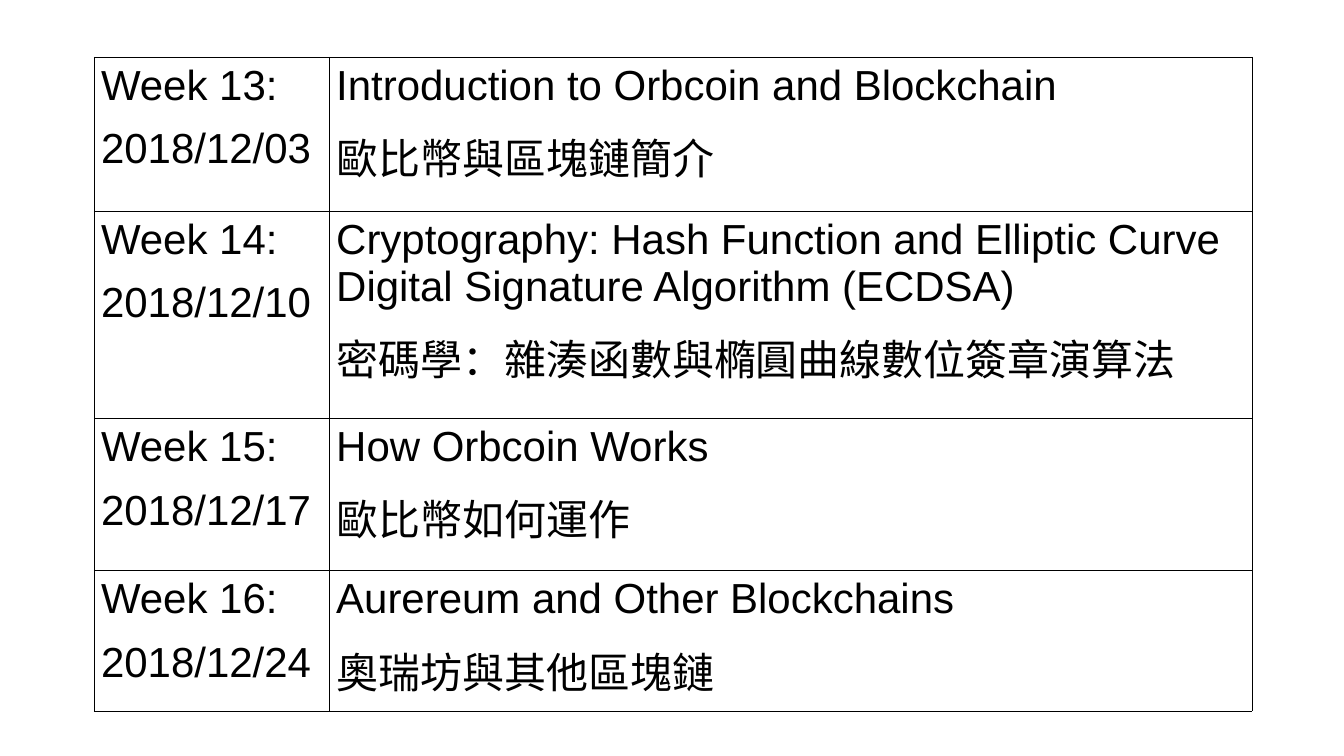
from dataclasses import dataclass

from lxml import etree
from pptx import Presentation
from pptx import util as u
from pptx.dml.color import RGBColor
from pptx.enum import text
from pptx.oxml import ns

SCALE = 914400 / 100.7  # EMU in one pixel


@dataclass(frozen=True)
class Theme:
    """Colours, type and line sizes of the slide."""
    ink: str = "000000"
    font: str = "Arial"
    size: float = 30
    space_after: float = 12
    border: float = 0.45


THEME = Theme()
SLIDE_SIZE = (1343, 755)
SCHEDULE_BOX = (94, 57, 1157, 653)
WEEK_WIDTH = 235
ROW_HEIGHTS = (154, 207, 152)  # the last row takes the rest
CELL_MARGINS = (7, 5)

SCHEDULE = [
    (("Week 13:", "2018/12/03"),
     ("Introduction to Orbcoin and Blockchain", "歐比幣與區塊鏈簡介")),
    (("Week 14:", "2018/12/10"),
     ("Cryptography: Hash Function and Elliptic Curve "
      "Digital Signature Algorithm (ECDSA)",
      "密碼學:雜湊函數與橢圓曲線數位簽章演算法".replace(":", "\uff1a"))),
    (("Week 15:", "2018/12/17"),
     ("How Orbcoin Works", "歐比幣如何運作")),
    (("Week 16:", "2018/12/24"),
     ("Aurereum and Other Blockchains", "奧瑞坊與其他區塊鏈")),
]


def px(pixels):
    """Turn pixels into EMU."""
    return u.Emu(round(pixels * SCALE))


def add_borders(cell):
    """Draw a thin line on all four sides of a cell."""
    properties = cell._tc.get_or_add_tcPr()
    for index, side in enumerate(("lnL", "lnR", "lnT", "lnB")):
        line = etree.Element(ns.qn(f"a:{side}"), w=str(u.Pt(THEME.border)))
        fill = etree.SubElement(line, ns.qn("a:solidFill"))
        etree.SubElement(fill, ns.qn("a:srgbClr"), val=THEME.ink)
        properties.insert(index, line)


def fill_cell(cell, lines):
    """Write one paragraph per line and style the cell."""
    cell.fill.background()
    cell.margin_left = cell.margin_right = px(CELL_MARGINS[0])
    cell.margin_top = cell.margin_bottom = px(CELL_MARGINS[1])
    cell.vertical_anchor = text.MSO_ANCHOR.TOP
    cell.text_frame.text = "\n".join(lines)
    for paragraph in cell.text_frame.paragraphs:
        paragraph.space_after = u.Pt(THEME.space_after)
        for run in paragraph.runs:
            run.font.name = THEME.font
            run.font.size = u.Pt(THEME.size)
            run.font.color.rgb = RGBColor.from_string(THEME.ink)
    add_borders(cell)


def add_schedule(slide, box):
    """Place the table of weeks and topics in the box."""
    width, height = box[2:]
    table = slide.shapes.add_table(len(SCHEDULE), 2, *map(px, box)).table
    table.first_row = table.horz_banding = False
    for column, pixels in zip(table.columns, (WEEK_WIDTH, width - WEEK_WIDTH)):
        column.width = px(pixels)
    row_heights = (*ROW_HEIGHTS, height - sum(ROW_HEIGHTS))
    for row, pixels, entry in zip(table.rows, row_heights, SCHEDULE):
        row.height = px(pixels)
        for cell, lines in zip(row.cells, entry):
            fill_cell(cell, lines)


def main():
    """Build the presentation and save it."""
    presentation = Presentation()
    presentation.slide_width, presentation.slide_height = map(px, SLIDE_SIZE)
    slide = presentation.slides.add_slide(presentation.slide_layouts[6])
    add_schedule(slide, SCHEDULE_BOX)
    presentation.save("out.pptx")


main()
